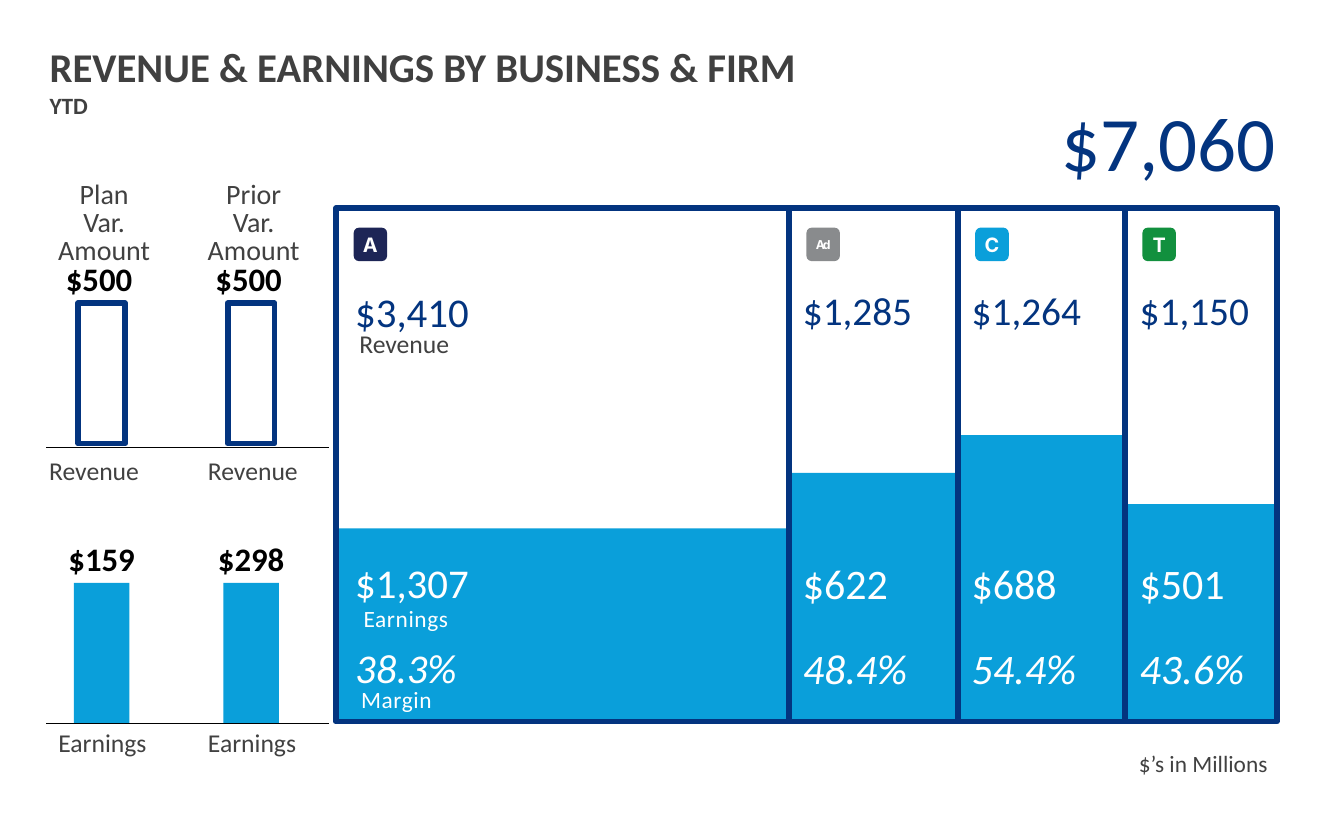
from dataclasses import dataclass
from lxml import etree
from pptx import Presentation
from pptx.dml.color import RGBColor
from pptx.enum import shapes, text
from pptx.oxml.ns import qn
from pptx.util import Inches, Pt

LEFT, CENTER, RIGHT = text.PP_ALIGN.LEFT, text.PP_ALIGN.CENTER, text.PP_ALIGN.RIGHT


@dataclass(frozen=True)
class Theme:
    font: str = "Calibri"
    badge_font: str = "Inter"
    navy: str = "03347F"
    blue: str = "0A9FDA"
    white: str = "FFFFFF"
    black: str = "000000"
    title_gray: str = "404040"
    gray: str = "414141"
    total: float = 66
    figure: float = 36
    title: float = 35
    revenue: float = 33.7
    variance: float = 28.1
    heading: float = 24
    label: float = 22
    small: float = 20
    frame: float = 5
    axis: float = 0.5


T = Theme()


@dataclass(frozen=True)
class Business:
    badge: str
    badge_color: str
    badge_size: float
    badge_spacing: float
    left: float  # column edge, from the left of the panel
    inset: float
    earnings_height: float
    revenue: str
    earnings: str
    margin: str
    size: float = T.figure
    revenue_size: float = T.revenue


BUSINESSES = [
    Business("A", "1D2556", 17, 0, 0, 0.13, 2.3, "$3,410", "$1,307", "38.3%", 35, 35),
    Business("Ad", "898B8D", 10.5, -1.5, 5.39, 0.07, 2.96, "$1,285", "$622", "48.4%"),
    Business("C", T.blue, 17, -1.5, 7.4, 0.07, 3.41, "$1,264", "$688", "54.4%"),
    Business("T", "12903E", 17, -1.5, 9.39, 0.08, 2.59, "$1,150", "$501", "43.6%"),
]


def rgb(color):
    return RGBColor.from_string(color)


def style(p, size, color, align=LEFT, bold=False, italic=False, spacing=0, font=T.font):
    p.alignment = align
    for r in p.runs:
        f = r.font
        f.name, f.size, f.bold, f.italic = font, Pt(size), bold, italic
        f.color.rgb = rgb(color)
        if spacing:
            r._r.get_or_add_rPr().set("spc", str(int(spacing * 100)))


def add_text(slide, x, y, w, h, words, size, color, line_spacing=None, **look):
    tf = slide.shapes.add_textbox(Inches(x), Inches(y), Inches(w), Inches(h)).text_frame
    tf.word_wrap = True
    tf.text = words
    for p in tf.paragraphs:
        style(p, size, color, **look)
        if line_spacing:
            p.line_spacing = Pt(line_spacing)


def add_box(slide, x, y, w, h, fill=None, line=None, kind=shapes.MSO_SHAPE.RECTANGLE):
    s = slide.shapes.add_shape(kind, Inches(x), Inches(y), Inches(w), Inches(h))
    s.shadow.inherit = False
    if fill:
        s.fill.solid()
        s.fill.fore_color.rgb = rgb(fill)
    else:
        s.fill.background()
    if line:
        s.line.color.rgb = rgb(line)
        s.line.width = Pt(T.frame)
    else:
        s.line.fill.background()
    return s


def add_line(slide, x1, y1, x2, y2, color, width):
    c = slide.shapes.add_connector(shapes.MSO_CONNECTOR.STRAIGHT,
                                   Inches(x1), Inches(y1), Inches(x2), Inches(y2))
    c.line.color.rgb = rgb(color)
    c.line.width = Pt(width)
    etree.SubElement(c._element.spPr, qn("a:effectLst"))


def add_title(slide, x, y, w, h):
    s = slide.shapes.title
    s.left, s.top, s.width, s.height = (Inches(v) for v in (x, y, w, h))
    tf = s.text_frame
    tf.text = "REVENUE & EARNINGS BY BUSINESS & FIRM\nYTD"
    tf.word_wrap = True
    tf.auto_size = text.MSO_AUTO_SIZE.NONE
    tf.vertical_anchor = text.MSO_ANCHOR.TOP
    for p, size in zip(tf.paragraphs, (T.title, T.small)):
        style(p, size, T.title_gray, bold=True)


def add_badge(slide, x, y, business):
    s = add_box(slide, x, y, 0.4, 0.4, business.badge_color,
                kind=shapes.MSO_SHAPE.ROUNDED_RECTANGLE)
    tf = s.text_frame
    tf.margin_left = tf.margin_right = tf.margin_top = tf.margin_bottom = 0
    tf.vertical_anchor = text.MSO_ANCHOR.MIDDLE
    tf.word_wrap = False
    tf.text = business.badge
    style(tf.paragraphs[0], business.badge_size, T.white, align=CENTER, bold=True,
          spacing=business.badge_spacing, font=T.badge_font)


def add_business_panel(slide, x, y, w, h):
    # Earnings blocks stand on the bottom edge, behind the frame
    edges = [b.left for b in BUSINESSES] + [w]
    for b, right in zip(BUSINESSES, edges[1:]):
        add_box(slide, x + b.left + 0.02, y + h - b.earnings_height,
                right - b.left, b.earnings_height, T.blue)
    add_box(slide, x, y, w, h, line=T.navy)
    for edge in edges[1:-1]:
        add_line(slide, x + edge, y, x + edge, y + h, T.navy, T.frame)

    # Badge and figures of each business
    for b in BUSINESSES:
        left = x + b.left + b.inset
        add_badge(slide, x + b.left + 0.21, y + 0.23, b)
        for dy, words, size, color, italic in (
                (0.88, b.revenue, b.revenue_size, T.navy, False),
                (4.11, b.earnings, b.size, T.white, False),
                (5.12, b.margin, b.size, T.white, True)):
            add_text(slide, left, y + dy, 1.74, 0.7, words, size, color, italic=italic)

    # Row labels in the first column
    add_text(slide, x + 0.18, y + 1.38, 1.7, 0.47, "Revenue", T.label, T.gray)
    for dx, dy, words in ((0.23, 4.66, "Earnings"), (0.2, 5.63, "Margin")):
        add_text(slide, x + dx, y + dy, 1.41, 0.44, words, T.small, T.white, spacing=0.5)

    # Firm total and unit note
    add_text(slide, x + w - 3.84, y - 1.4, 3.93, 1.21, "$7,060", T.total, T.navy, align=RIGHT)
    add_text(slide, x + w - 1.97, y + h + 0.28, 1.96, 0.44, "$’s in Millions",
             T.small, T.gray, align=RIGHT)


def add_variances(slide, x, y, w, h):
    columns = [("Plan", 0.66, -0.09, "$500", "$159"), ("Prior", 2.44, 0.02, "$500", "$298")]
    revenue_axis, earnings_axis = y + 3.2, y + h
    for name, dx, nudge, revenue, earnings in columns:
        mid = x + dx

        def centered(offset, top, width, words, size, color, **look):
            add_text(slide, mid + offset - width / 2, top, width, 0.5, words, size, color,
                     align=CENTER, **look)

        centered(0.03, y, 1.44, f"{name}\nVar.\nAmount", T.heading, T.gray, line_spacing=24)
        add_box(slide, mid - 0.28, revenue_axis - 1.71, 0.56, 1.67, T.white, T.navy)
        add_box(slide, mid - 0.33, earnings_axis - 1.67, 0.66, 1.67, T.blue)
        centered(-0.03, revenue_axis - 2.29, 1.31, revenue, T.variance, T.black, bold=True)
        centered(0, earnings_axis - 2.24, 1.31, earnings, T.variance, T.black, bold=True)
        centered(nudge, revenue_axis + 0.05, 1.82, "Revenue", T.label, T.gray)
        centered(0.01, earnings_axis, 1.82, "Earnings", T.label, T.gray)
    for axis in (revenue_axis, earnings_axis):
        add_line(slide, x, axis, x + w, axis, T.black, T.axis)


prs = Presentation()
prs.slide_width, prs.slide_height = Inches(16), Inches(10)
slide = prs.slides.add_slide(prs.slide_layouts[5])
add_title(slide, 0.49, 0.45, 12.48, 1.03)
add_business_panel(slide, 4, 2.48, 11.2, 6.11)
add_variances(slide, 0.55, 2.12, 3.37, 6.49)
prs.save("out.pptx")
